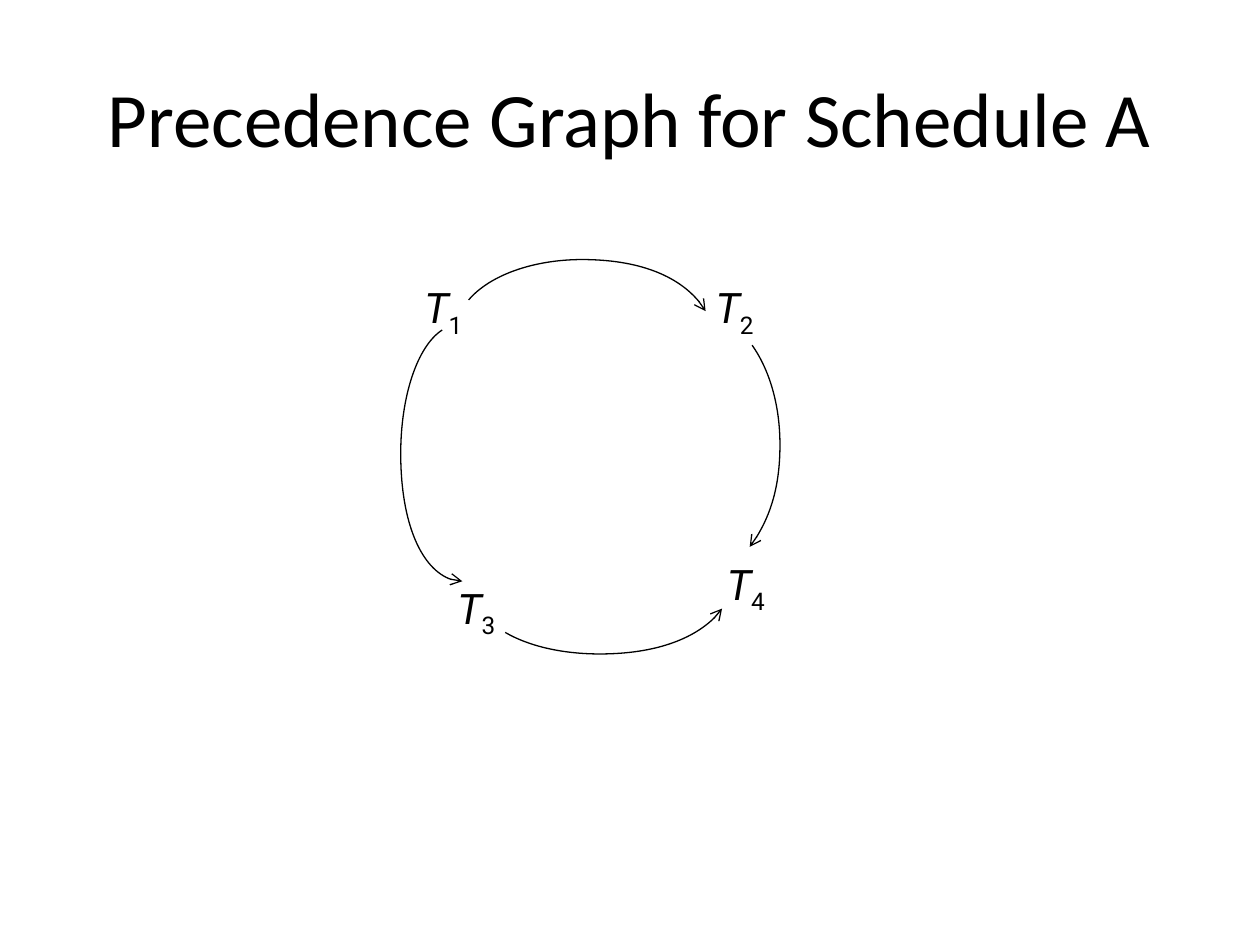
from lxml.etree import SubElement
from pptx import Presentation
from pptx.dml.color import RGBColor
from pptx.enum.text import MSO_ANCHOR, PP_ALIGN
from pptx.oxml.ns import qn
from pptx.util import Pt

COLORS = {"ink": "000000", "paper": "FFFFFF"}
TITLE_FONT, NODE_FONT = "Calibri", "Roboto"
NODE_SIZE = (43.2, 36)

# Top left corner of each node label, in points from the graph's corner
NODES = {"3": (22.6, 183.2), "4": (176.6, 169.5), "1": (3.8, 11.5), "2": (170.2, 11.5)}

# Each edge: its arc's hub, then cubic Bezier points from source to target node
EDGES = {
    ("3", "4"): ((114.7, 188.2),
                 [(60.7, 213.4), (74.4, 221.4), (93.8, 225.7), (114.7, 225.7),
                  (146.4, 225.7), (174.5, 214.9), (184.6, 199.8)]),
    ("2", "4"): ((173.8, 106.2),
                 [(201.8, 49.3), (211.9, 63.7), (217.7, 83.8), (217.7, 106.2),
                  (217.7, 129.2), (211.2, 150.8), (200.4, 164.5)]),
    ("1", "2"): ((104.6, 42.8),
                 [(39.8, 23.4), (52.1, 9), (77.3, 0.3), (104.6, 0.3),
                  (137, 0.3), (165.1, 11.8), (175.2, 29.8)]),
    ("1", "3"): ((34.1, 111.2),
                 [(24.7, 40.6), (10.3, 50), (1, 78.8), (1, 111.2),
                  (1, 151.5), (16.1, 184.6), (36.2, 184.2)]),
}


def color(name):
    return RGBColor.from_string(COLORS[name])


def add_centred_text(page, box):
    """Add an empty centred text box and return its paragraph."""
    frame = page.shapes.add_textbox(*(Pt(length) for length in box)).text_frame
    frame.word_wrap = True
    frame.vertical_anchor = MSO_ANCHOR.MIDDLE
    para = frame.paragraphs[0]
    para.alignment = PP_ALIGN.CENTER
    return para


def add_span(para, text, font, size, italic=False):
    span = para.add_run()
    span.text = text
    span.font.name = font
    span.font.size = Pt(size)
    span.font.italic = italic
    span.font.color.rgb = color("ink")
    return span


def add_title(page, box):
    add_span(add_centred_text(page, box), "Precedence Graph for Schedule A", TITLE_FONT, 44)


def add_node(page, box, number):
    para = add_centred_text(page, box)
    add_span(para, "T", NODE_FONT, 24, italic=True)
    subscript = add_span(para, number, NODE_FONT, 24)
    subscript.font._element.set("baseline", "-25000")


def bend(outline):
    """Turn each three line pieces of an outline into one Bezier curve."""
    pieces = outline.findall(qn("a:lnTo"))
    for start in range(0, len(pieces), 3):
        curve = SubElement(outline, qn("a:cubicBezTo"))
        for piece in pieces[start:start + 3]:
            curve.append(piece[0])
            outline.remove(piece)


def add_edge(page, left, top, hub, controls):
    # The hub widens the frame to the arc's sector; the outline leaves it out
    points = [(Pt(left + x), Pt(top + y)) for x, y in [*controls, hub]]
    builder = page.shapes.build_freeform(*points[0])
    builder.add_line_segments(points[1:], close=False)
    edge = builder.convert_to_shape()
    outline = next(edge.element.iter(qn("a:path")))
    outline.remove(outline[-1])
    bend(outline)
    edge.shadow.inherit = False
    edge.fill.background()
    edge.line.color.rgb = color("ink")
    edge.line.width = Pt(0.75)
    # Open arrowhead at the target
    SubElement(edge.line._get_or_add_ln(), qn("a:tailEnd"), type="arrow")


def add_graph(page, box):
    left, top = box[:2]
    for number, (x, y) in NODES.items():
        add_node(page, (left + x, top + y, *NODE_SIZE), number)
    for hub, controls in EDGES.values():
        add_edge(page, left, top, hub, controls)


def main():
    deck = Presentation()
    deck.slide_width, deck.slide_height = Pt(720), Pt(540)
    page = deck.slides.add_slide(deck.slide_layouts[6])
    page.background.fill.solid()
    page.background.fill.fore_color.rgb = color("paper")
    add_title(page, (36, 21.6, 648, 90))
    add_graph(page, (228, 148, 219, 226))
    deck.save("out.pptx")


if __name__ == "__main__":
    main()
